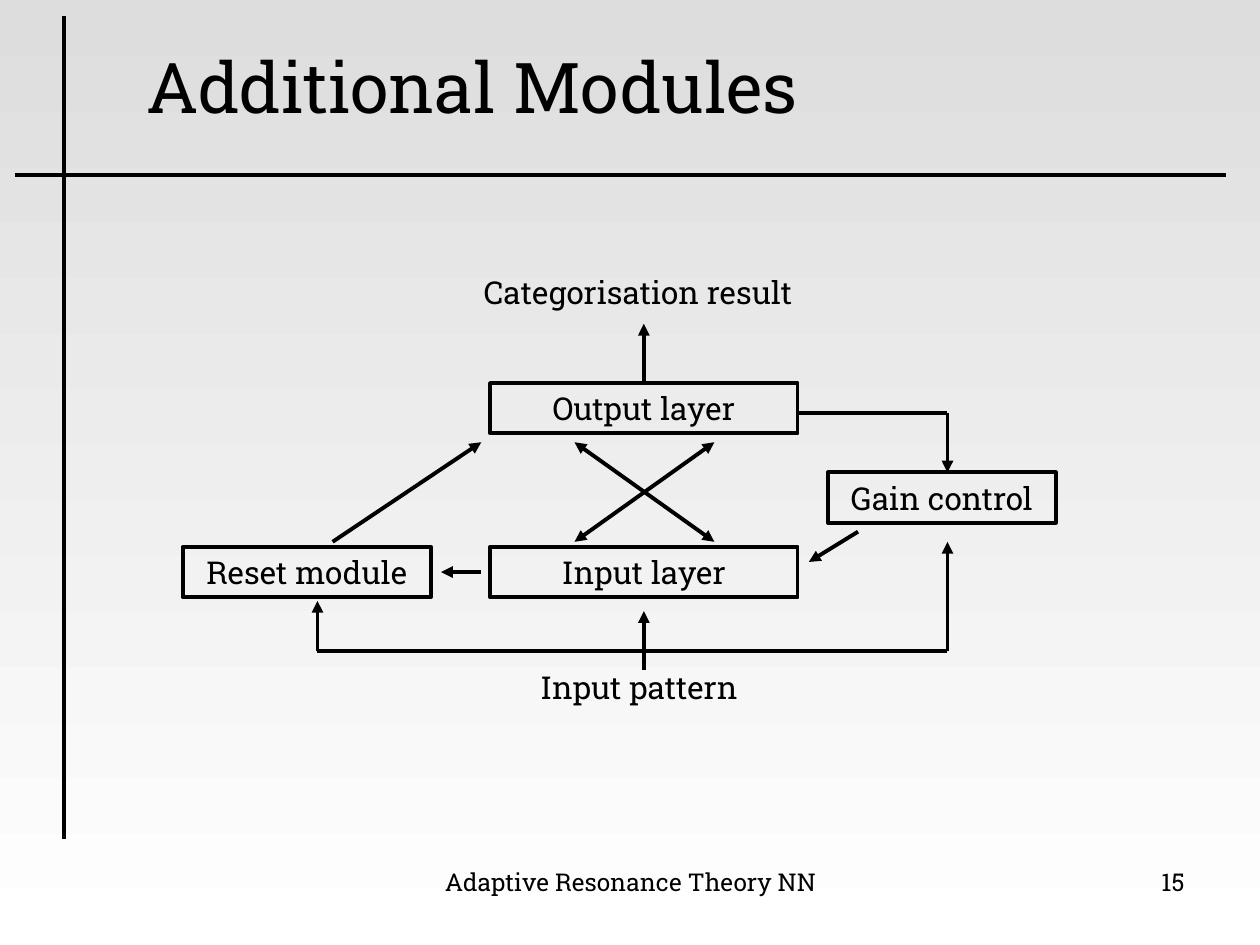
from lxml.etree import SubElement as Sub
from pptx import Presentation
from pptx.dml.color import RGBColor
from pptx.enum.shapes import MSO_CONNECTOR as Link, MSO_SHAPE as Form
from pptx.enum.text import MSO_ANCHOR as Anchor, PP_ALIGN as Align
from pptx.oxml.ns import qn
from pptx.util import Inches, Pt

BLACK = RGBColor(0x00, 0x00, 0x00)
GREY = RGBColor(0xDD, 0xDD, 0xDD)
WHITE = RGBColor(0xFF, 0xFF, 0xFF)
FONT = "Roboto Slab"
STROKE = Pt(2.25)


def write(shape, text, size, align=Align.LEFT, wrap=True):
    frame = shape.text_frame
    frame.text = text
    frame.word_wrap = wrap
    para = frame.paragraphs[0]
    para.alignment = align
    font = para.runs[0].font
    font.name = FONT
    font.size = Pt(size)
    font.color.rgb = BLACK


def label(slide, box, text, size, align=Align.LEFT, wrap=True):
    shape = slide.shapes.add_textbox(*map(Inches, box))
    write(shape, text, size, align, wrap)


def block(slide, box, text):
    shape = slide.shapes.add_shape(Form.RECTANGLE, *map(Inches, box))
    shape.shadow.inherit = False
    shape.fill.background()
    shape.line.color.rgb = BLACK
    shape.line.width = STROKE
    shape.text_frame.vertical_anchor = Anchor.TOP
    write(shape, text, 18, Align.CENTER)
    return shape


def line(slide, start, stop, *ends):
    link = slide.shapes.add_connector(
        Link.STRAIGHT, *map(Inches, (*start, *stop)))
    link.line.color.rgb = BLACK
    link.line.width = STROKE
    for end in ends:
        Sub(link.get_or_add_ln(), qn("a:" + end), type="triangle")
    Sub(link.element.spPr, qn("a:effectLst"))
    return link


def backdrop(slide, box):
    fill = slide.background.fill
    fill.gradient()
    fill.gradient_angle = 270
    for stop, color, place in zip(fill.gradient_stops, (GREY, WHITE), (0, 1)):
        stop.color.rgb = color
        stop.position = place
    left, top, width, height = box
    line(slide, (left, top + 1.26), (left + width, top + 1.26))
    line(slide, (left + 0.39, top), (left + 0.39, top + height))


def heading(slide, box):
    title = slide.shapes.title
    title.left, title.top, title.width, title.height = map(Inches, box)
    title.text_frame.vertical_anchor = Anchor.MIDDLE
    write(title, "Additional Modules", 40)


def diagram(slide, box):
    left, top = box[:2]

    def at(x, y):
        return left + x, top + y

    tall = 0.4
    mid, low, high = 3.66, 2.18, 1.39
    reset, gain, bus = 1.07, 6.07, 3.05
    near, far = mid - 0.55, mid + 0.56
    both = ("headEnd", "tailEnd")

    blocks = {}
    for name, x, y, wide in (
        ("Input layer", 2.44, 2.22, 2.44),
        ("Output layer", 2.44, 0.92, 2.44),
        ("Gain control", 5.12, 1.63, 1.81),
        ("Reset module", 0, 2.22, 1.97),
    ):
        blocks[name] = block(slide, (*at(x, y), wide, tall), name)

    for text, x, y, wide in (
        ("Categorisation result", 2.29, 0, 2.75),
        ("Input pattern", 2.74, 3.13, 1.84),
    ):
        label(slide, (*at(x, y), wide, tall), text, 18, wrap=False)

    result = line(slide, at(mid, 0.92), at(mid, 0.45), "tailEnd")
    result.begin_connect(blocks["Output layer"], 0)

    for start, stop, ends in (
        ((mid, 3.2), (mid, 2.73), both[1:]),
        ((near, high), (far, low), both),
        ((far, high), (near, low), both),
        ((1.19, low), (2.37, high), both[1:]),
        ((2.37, 2.42), (2.05, 2.42), both[1:]),
        ((5.36, 2.1), (4.97, 2.34), both[1:]),
        ((reset, bus), (reset, 2.65), both[1:]),
        ((reset, bus), (mid, bus), ()),
        ((gain, bus), (mid, bus), ()),
        ((gain, bus), (gain, low), both[1:]),
        ((4.89, 1.16), (gain, 1.16), ()),
        ((gain, 1.16), (gain, 1.63), both[1:]),
    ):
        line(slide, at(*start), at(*stop), *ends)


def footer(slide, box):
    left, top, width, height = box
    label(slide, (left, top, 3.17, height),
          "Adaptive Resonance Theory NN", 14, Align.CENTER)
    label(slide, (left + width - 2.33, top, 2.33, height),
          "15", 14, Align.RIGHT)


def main():
    deck = Presentation()
    deck.slide_width = Inches(10)
    deck.slide_height = Inches(7.5)
    slide = deck.slides.add_slide(deck.slide_layouts[5])
    backdrop(slide, (0.12, 0.13, 9.61, 6.53))
    heading(slide, (1.06, 0.29, 8.66, 0.77))
    diagram(slide, (1.45, 2.12, 6.93, 3.53))
    footer(slide, (3.42, 6.83, 6.08, 0.52))
    deck.save("out.pptx")


if __name__ == "__main__":
    main()
